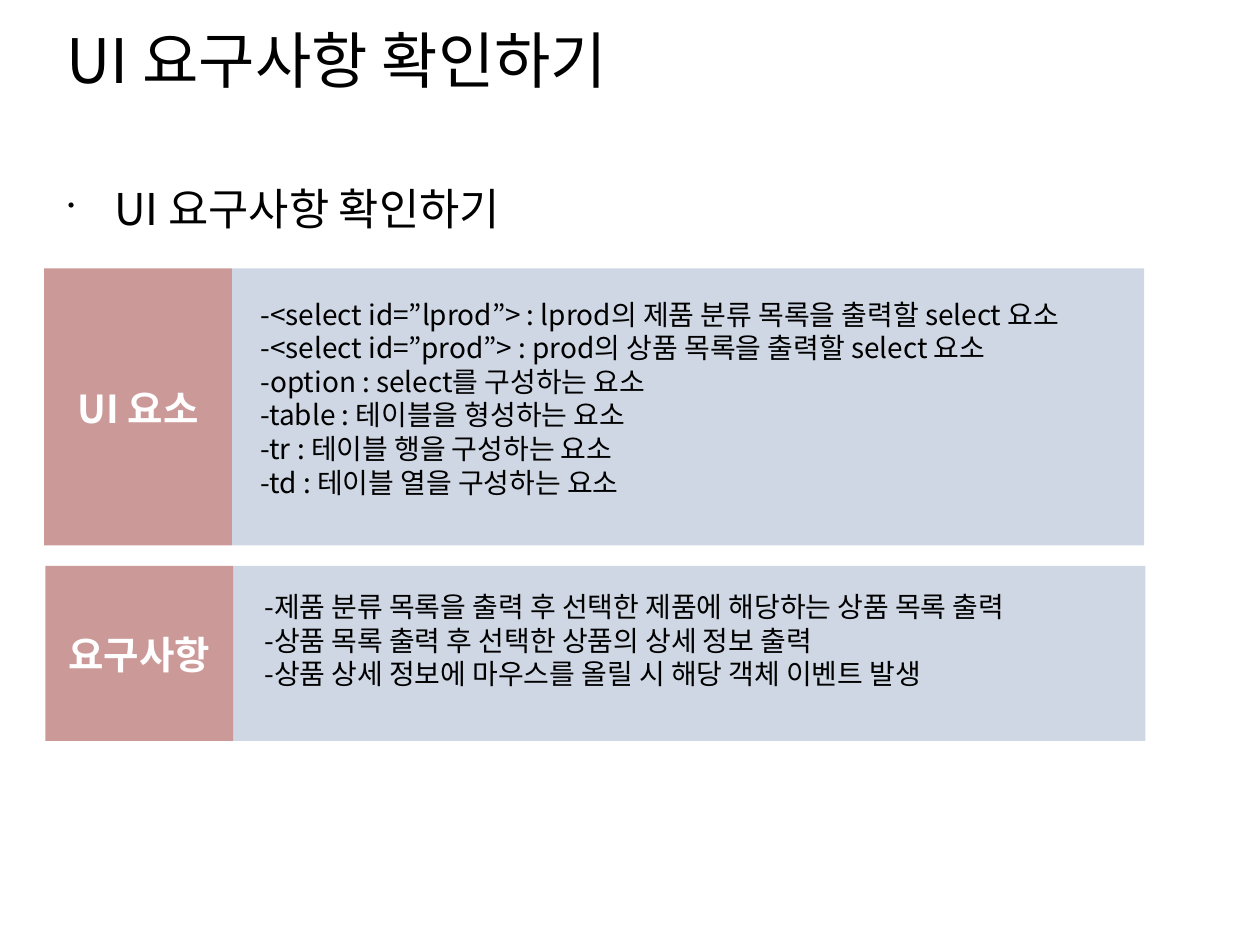
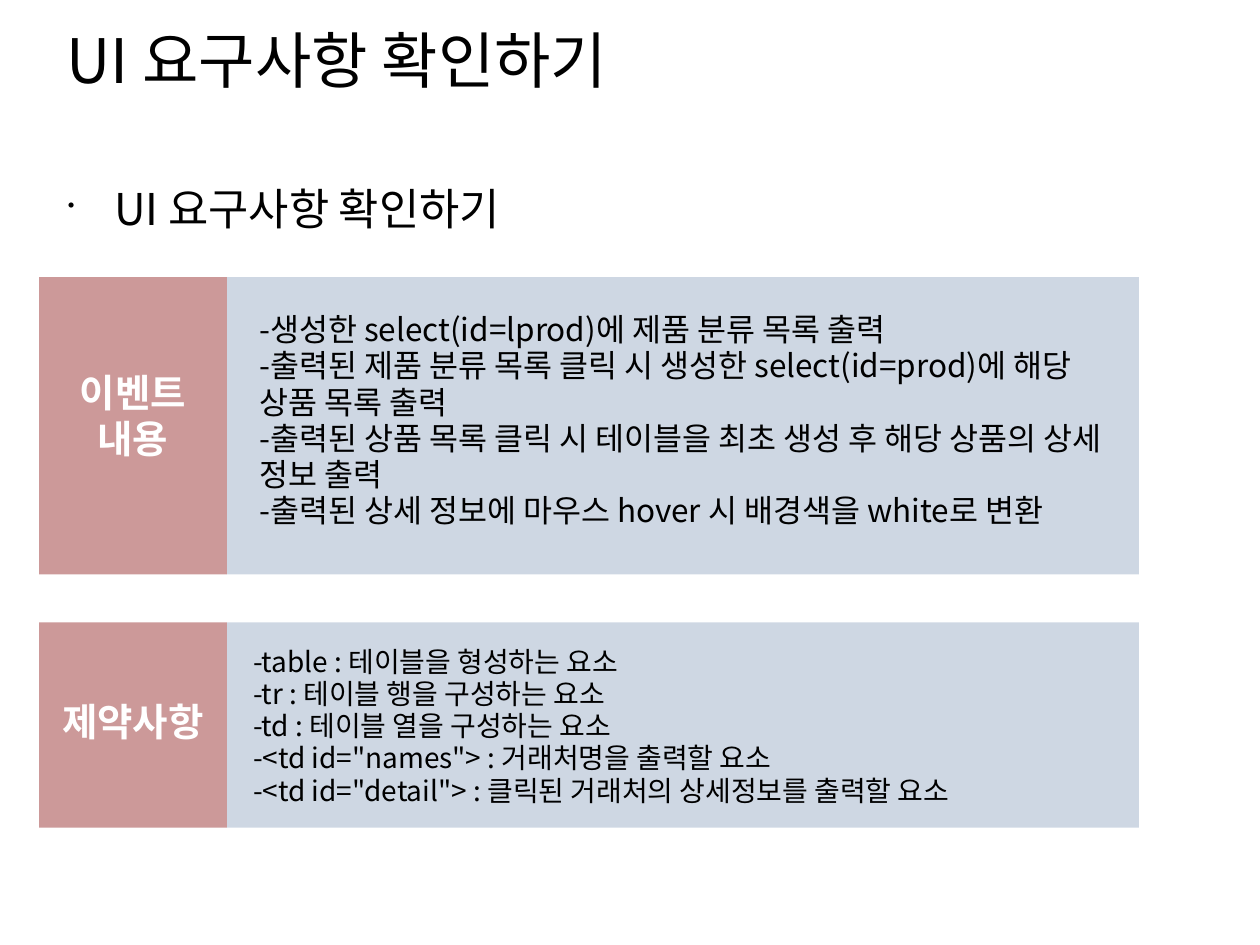
from lxml import etree
from pptx import Presentation
from pptx import util as u
from pptx.dml import color
from pptx.enum import shapes, text
from pptx.oxml import ns

COLOURS = {"ink": "000000", "label": "FFFFFF", "tag": "CC9999", "body": "9FB0C9"}
FONT = "Noto Sans CJK KR"
HEADING = "UI 요구사항 확인하기"
TAG_WIDTH = 1.49
BODY_WIDTH = 7.24
BODY_ALPHA = 50
INSETS = {"margin_left": 0.1, "margin_top": 0.05, "margin_right": 0.1, "margin_bottom": 0.05}

SLIDES = [
    [
        {
            "left": 0.35, "top": 2.13, "height": 2.2,
            "label": ["UI 요소"], "label_box": (3.01, 0.47),
            "detail_box": (1.97, 2.31, 6.93, 1.7), "size": 16, "spacing": None,
            "details": [
                "-<select id=”lprod”> : lprod의 제품 분류 목록을 출력할 select 요소",
                "-<select id=”prod”> : prod의 상품 목록을 출력할 select 요소",
                "-option : select를 구성하는 요소",
                "-table : 테이블을 형성하는 요소",
                "-tr : 테이블 행을 구성하는 요소",
                "-td : 테이블 열을 구성하는 요소",
            ],
        },
        {
            "left": 0.36, "top": 4.49, "height": 1.39,
            "label": ["요구사항"], "label_box": (4.96, 0.47),
            "detail_box": (2, 4.63, 6.69, 0.9), "size": 16, "spacing": None,
            "details": [
                "-제품 분류 목록을 출력 후 선택한 제품에 해당하는 상품 목록 출력",
                "-상품 목록 출력 후 선택한 상품의 상세 정보 출력",
                "-상품 상세 정보에 마우스를 올릴 시 해당 객체 이벤트 발생",
            ],
        },
    ],
    [
        {
            "left": 0.31, "top": 2.2, "height": 2.36,
            "label": ["이벤트", "내용"], "label_box": (2.88, 0.83),
            "detail_box": (1.96, 2.43, 6.93, 2.12), "size": 18, "spacing": 0.96,
            "details": [
                "-생성한 select(id=lprod)에 제품 분류 목록 출력",
                "-출력된 제품 분류 목록 클릭 시 생성한 select(id=prod)에 해당 상품 목록 출력",
                "-출력된 상품 목록 클릭 시 테이블을 최초 생성 후 해당 상품의 상세 정보 출력",
                "-출력된 상세 정보에 마우스 hover 시 배경색을 white로 변환",
            ],
        },
        {
            "left": 0.31, "top": 4.94, "height": 1.63,
            "label": ["제약사항"], "label_box": (5.49, 0.47),
            "detail_box": (1.91, 5.08, 6.69, 1.38), "size": 16, "spacing": 0.96,
            "details": [
                "-table : 테이블을 형성하는 요소",
                "-tr : 테이블 행을 구성하는 요소",
                "-td : 테이블 열을 구성하는 요소",
                '-<td id="names"> : 거래처명을 출력할 요소',
                '-<td id="detail"> : 클릭된 거래처의 상세정보를 출력할 요소',
            ],
        },
    ],
]


class Deck:
    def __init__(self):
        self.presentation = Presentation()
        self.presentation.slide_width = u.Inches(10)
        self.presentation.slide_height = u.Inches(7.5)
        self.slide = None

    def new_slide(self):
        self.slide = self.presentation.slides.add_slide(self.presentation.slide_layouts[6])

    def band(self, box, colour, alpha=None):
        band = self.slide.shapes.add_shape(shapes.MSO_SHAPE.RECTANGLE, *map(u.Inches, box))
        band.shadow.inherit = False
        band.fill.solid()
        band.fill.fore_color.rgb = color.RGBColor.from_string(COLOURS[colour])
        band.line.fill.background()
        if alpha is not None:
            srgb = band._element.spPr.find(ns.qn("a:solidFill")).find(ns.qn("a:srgbClr"))
            etree.SubElement(srgb, ns.qn("a:alpha"), val=str(alpha * 1000))

    def text_lines(self, box, lines, size, colour="ink", bold=False, grow=False,
                   **paragraph_format):
        frame = self.slide.shapes.add_textbox(*map(u.Inches, box)).text_frame
        frame.word_wrap = True
        frame.auto_size = text.MSO_AUTO_SIZE.SHAPE_TO_FIT_TEXT if grow else text.MSO_AUTO_SIZE.NONE
        for side, inset in INSETS.items():
            setattr(frame, side, u.Inches(inset))
        for index, line in enumerate(lines):
            paragraph = frame.add_paragraph() if index else frame.paragraphs[0]
            for name, value in paragraph_format.items():
                setattr(paragraph, name, value)
            run = paragraph.add_run()
            run.text = line
            for name, value in {"size": u.Pt(size), "bold": bold, "name": FONT}.items():
                setattr(run.font, name, value)
            run.font.color.rgb = color.RGBColor.from_string(COLOURS[colour])
            etree.SubElement(run._r.get_or_add_rPr(), ns.qn("a:ea"), typeface=FONT)
        return frame

    def title(self, heading):
        self.text_lines((0.43, 0.13, 8.38, 0.87), [heading], 35)

    def bullet(self, heading):
        frame = self.text_lines((0.43, 1.39, 9.19, 5.34), [heading], 25,
                                space_before=u.Pt(5), space_after=u.Pt(14.3))
        properties = frame.paragraphs[0]._p.get_or_add_pPr()
        properties.set("marL", str(u.Inches(0.38)))
        properties.set("indent", str(u.Inches(-0.37)))
        bullet_colour = etree.SubElement(properties, ns.qn("a:buClr"))
        etree.SubElement(bullet_colour, ns.qn("a:srgbClr"), val=COLOURS["ink"])
        etree.SubElement(properties, ns.qn("a:buSzPct"), val="45000")
        etree.SubElement(properties, ns.qn("a:buChar"), char="•")

    def panel(self, panel):
        left, top, height = panel["left"], panel["top"], panel["height"]
        label_top, label_height = panel["label_box"]
        self.band((left + TAG_WIDTH, top, BODY_WIDTH, height), "body", BODY_ALPHA)
        self.band((left, top, TAG_WIDTH, height), "tag")
        self.text_lines((left, label_top, TAG_WIDTH, label_height), panel["label"], 22, "label",
                        bold=True, grow=True, alignment=text.PP_ALIGN.CENTER)
        self.text_lines(panel["detail_box"], panel["details"], panel["size"],
                        grow=True, line_spacing=panel["spacing"])


def main():
    deck = Deck()
    for panels in SLIDES:
        deck.new_slide()
        deck.title(HEADING)
        deck.bullet(HEADING)
        for panel in panels:
            deck.panel(panel)
    deck.presentation.save("out.pptx")


if __name__ == "__main__":
    main()
